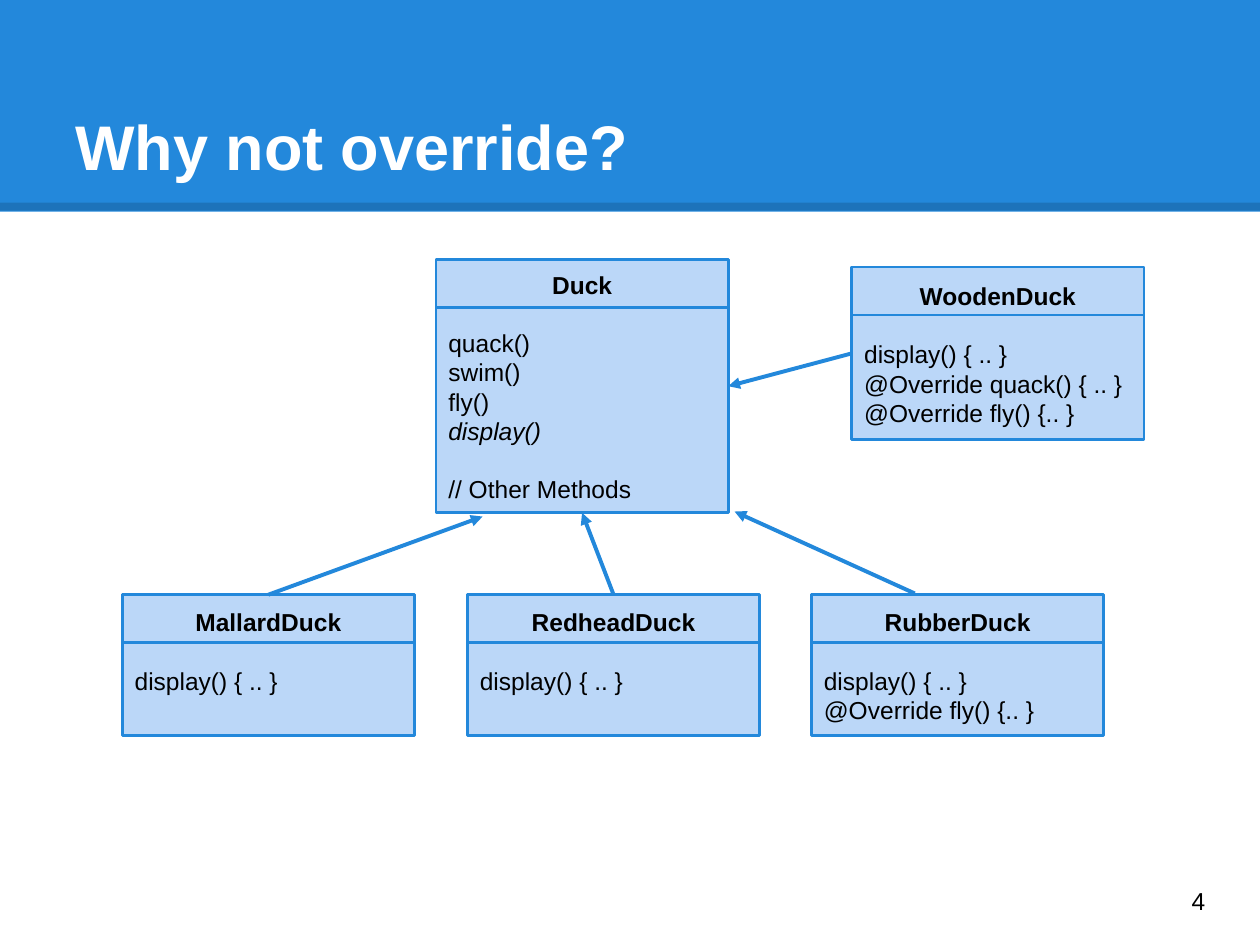
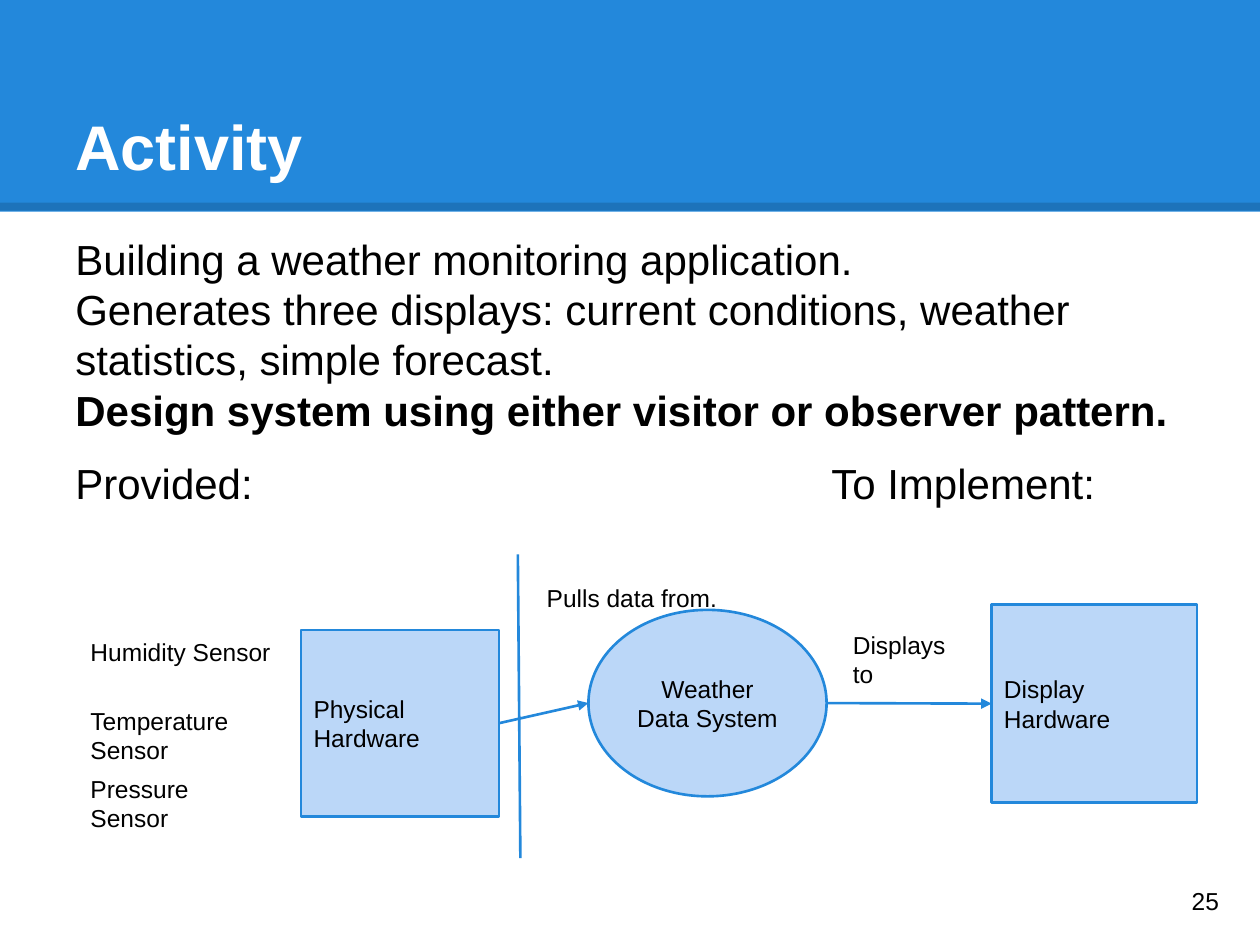
"""Build two slides: a duck class diagram and a weather system activity."""
from lxml import etree
from pptx import Presentation
from pptx.dml.color import RGBColor as Rgb
from pptx.enum.shapes import MSO_CONNECTOR as Conn, MSO_SHAPE as Kind
from pptx.enum.text import MSO_ANCHOR as Anchor, PP_ALIGN as Align
from pptx.oxml.ns import qn
from pptx.util import Inches, Pt

HUE = {"blue": "2388DB", "pale": "BBD7F8", "ink": "000000", "white": "FFFFFF"}


def put(slide, kind, at, lines, size=14, hue="ink", bold=False, anchor=Anchor.TOP, align=Align.LEFT):
    at = [Inches(v) for v in at]
    if kind is None:
        box = slide.shapes.add_textbox(*at)
    else:
        box = slide.shapes.add_shape(kind, *at)
        box.shadow.inherit = False
        box.fill.solid()
        box.fill.fore_color.rgb = Rgb.from_string(HUE["pale"])
        box.line.color.rgb = Rgb.from_string(HUE["blue"])
        box.line.width = Pt(1.5)
    frame = box.text_frame
    frame.word_wrap = True
    frame.vertical_anchor = anchor
    frame.margin_left = frame.margin_right = Inches(0.1)
    frame.margin_top = frame.margin_bottom = Inches(0.1)
    for i, line in enumerate(lines):
        para = frame.add_paragraph() if i else frame.paragraphs[0]
        para.text = line
        para.alignment = align
        if "\t" in line:
            tabs = etree.SubElement(para._p.get_or_add_pPr(), qn("a:tabLst"))
            etree.SubElement(tabs, qn("a:tab"), pos=str(Inches(6)), algn="l")
        para.font.name = "Arial"
        para.font.size = Pt(size)
        para.font.bold = bold
        para.font.color.rgb = Rgb.from_string(HUE[hue])
    return box


def link(slide, start, end, width=1.5, hue="blue", arrow=False):
    line = slide.shapes.add_connector(Conn.STRAIGHT, *[Inches(v) for v in (*start, *end)])
    line.line.color.rgb = Rgb.from_string(HUE[hue])
    line.line.width = Pt(width)
    if arrow:
        etree.SubElement(line.line._get_or_add_ln(), qn("a:tailEnd"), type="triangle")
    etree.SubElement(line._element.spPr, qn("a:effectLst"))
    return line


deck = Presentation()
deck.slide_width, deck.slide_height = Inches(10), Inches(7.5)

pages = []
for title, number in (("Why not override?", "4"), ("Activity", "25")):
    page = deck.slides.add_slide(deck.slide_layouts[6])
    band = page.shapes.add_shape(Kind.RECTANGLE, 0, 0, Inches(10), Inches(1.68))
    band.shadow.inherit = False
    band.fill.solid()
    band.fill.fore_color.rgb = Rgb.from_string(HUE["blue"])
    band.line.fill.background()
    edge = link(page, (0, 1.64), (10, 1.64), 4.5, "ink")
    tint = edge._element.spPr.find(".//" + qn("a:srgbClr"))
    etree.SubElement(tint, qn("a:alpha"), val="15000")
    put(page, None, (0.5, 0.3, 9, 1.25), [title], 36, "white", True, Anchor.BOTTOM)
    put(page, None, (9.36, 6.93, 0.6, 0.57), [number])
    pages.append(page)
ducks, task = pages

show, fly = "display() { .. }", "@Override fly() {.. }"
wide = 2.32
types = [
    ("Duck", 3.46, 2.06, 2.01, 0.08,
     ["quack()", "swim()", "fly()", "display()", "// Other Methods"]),
    ("MallardDuck", 0.97, 4.72, 1.12, 0.1, [show]),
    ("RedheadDuck", 3.71, 4.72, 1.12, 0.1, [show]),
    ("RubberDuck", 6.44, 4.72, 1.12, 0.1, [show, fly]),
    ("WoodenDuck", 6.76, 2.12, 1.37, 0.11, [show, "@Override quack() { .. }", fly]),
]
boxes = {}
for name, x, y, high, pad, calls in types:
    box = put(ducks, Kind.RECTANGLE, (x, y, wide, high), [name, *calls])
    box.text_frame.margin_top = Inches(pad)
    head, first, *rest = box.text_frame.paragraphs
    head.alignment = Align.CENTER
    head.font.bold = True
    first.space_before = Pt(16.5)
    for para in rest:
        para.font.italic = para.text == "display()"
        if para.text.startswith("//"):
            para.space_before = Pt(16.5)
    link(ducks, (x, y + 0.38), (x + wide, y + 0.38))
    boxes[name] = box

arrows = [
    ("MallardDuck", 0, (2.13, 4.72), (3.83, 4.1), None),
    ("RedheadDuck", 0, (4.87, 4.72), (4.62, 4.07), 2),
    ("RubberDuck", None, (7.26, 4.71), (5.83, 4.06), None),
    ("WoodenDuck", 1, (6.76, 2.8), (5.78, 3.06), 3),
]
for name, out, start, end, into in arrows:
    line = link(ducks, start, end, 2.25, arrow=True)
    if out is not None:
        line.begin_connect(boxes[name], out)
    if into is not None:
        line.end_connect(boxes["Duck"], into)

body = put(task, None, (0.5, 1.75, 9, 2.9), [
    "Building a weather monitoring application.",
    "Generates three displays: current conditions, weather statistics, simple forecast.",
    "Design system using either visitor or observer pattern.",
    "Provided:\tTo Implement:",
], 24)
body.text_frame.paragraphs[2].font.bold = True
body.text_frame.paragraphs[3].space_before = Pt(13)

for i, name in enumerate(("Humidity", "Temperature", "Pressure")):
    put(task, None, (0.62, 4.96 + 0.54 * i, 1.63, 0.43), [name + " Sensor"])
source = put(task, Kind.RECTANGLE, (2.39, 5, 1.57, 1.48), ["Physical Hardware"], anchor=Anchor.MIDDLE)
screen = put(task, Kind.RECTANGLE, (7.87, 4.8, 1.63, 1.57), ["Display Hardware"], anchor=Anchor.MIDDLE)
put(task, Kind.OVAL, (4.67, 4.84, 1.89, 1.48), ["Weather Data System"],
    anchor=Anchor.MIDDLE, align=Align.CENTER)
put(task, None, (4.24, 4.53, 3.79, 0.43), ["Pulls data from."])
put(task, None, (6.67, 4.9, 1.08, 0.43), ["Displays", "to"])
link(task, (3.97, 5.75), (4.67, 5.58), arrow=True).begin_connect(source, 3)
link(task, (6.56, 5.58), (7.87, 5.58), arrow=True).end_connect(screen, 1)
link(task, (4.11, 4.4), (4.13, 6.81))

deck.save("out.pptx")
